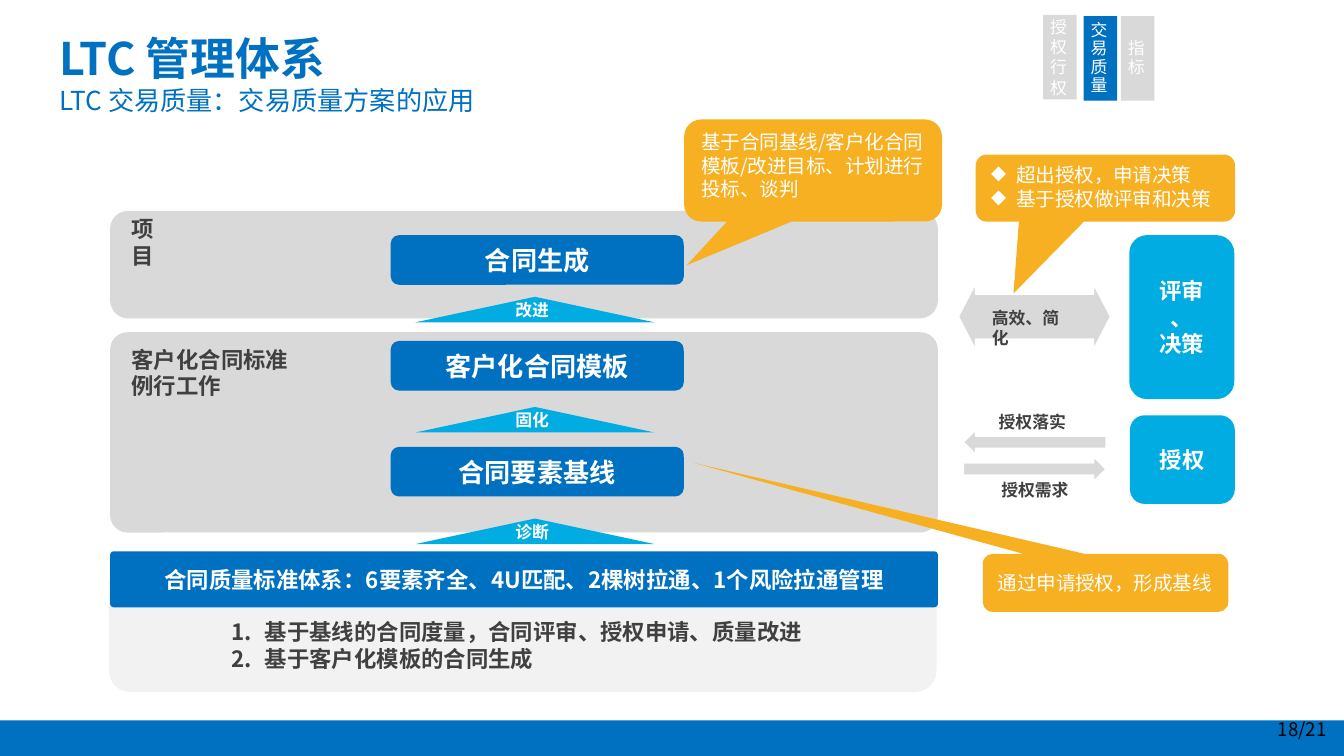
import pptx
import pptx.util
import pptx.dml.color
import pptx.enum.shapes
import pptx.enum.text
import pptx.oxml.ns
import lxml.etree

Pt = pptx.util.Pt
Kind = pptx.enum.shapes.MSO_SHAPE
Align = pptx.enum.text.PP_ALIGN
Anchor = pptx.enum.text.MSO_ANCHOR
qn = pptx.oxml.ns.qn

THEME = {
    "font": "Noto Sans CJK SC",
    "blue": "0070C0", "sky": "00ACE2", "gold": "F7B021",
    "gray": "D9D9D9", "pale": "F2F2F2", "dark": "404040",
    "white": "FFFFFF", "black": "000000",
    "title": 24, "head": 14, "body": 12, "note": 10.5, "page": 10, "small": 9,
}

TITLE = [("LTC 管理体系", "title", True),
         ("LTC 交易质量：交易质量方案的应用", "head", False)]
TABS = [("授权行权", 558.8, 8, "gray", 1.0),
        ("交易质量", 580.5, 8.7, "blue", 0.9),
        ("指标", 600.5, 8.7, "gray", 0.9)]
PANELS = [((59, 178, 443.5, 107.3), 0.087, "gray"),
          ((59, 113, 443.5, 57.6), 0.167, "gray"),
          ((58.3, 301, 443.5, 69.8), 0.167, "pale")]
STEPS = ["合同生成", "客户化合同模板", "合同要素基线"]
LIFTS = [("改进", 157), ("固化", 216), ("诊断", 275.8)]
BASE = "合同质量标准体系：6要素齐全、4U匹配、2棵树拉通、1个风险拉通管理"
HEADS = [(["项目"], (64, 112.3, 36.7, 21)),
         (["客户化合同标准", "例行工作"], (64, 182.2, 97.2, 35.3))]
RULES = ["基于基线的合同度量，合同评审、授权申请、质量改进", "基于客户化模板的合同生成"]
GATES = [(["评审", "、", "决策"], (605, 126, 56.2, 87.8)),
         (["授权"], (605.3, 222.5, 56.2, 47.5))]
ARROWS = [(Kind.LEFT_RIGHT_ARROW, (513.5, 152, 81.4, 35.3), (0.685, 0.259)),
          (Kind.RIGHT_ARROW, (516.2, 244.8, 76.3, 13), ()),
          (Kind.LEFT_ARROW, (516.2, 230.4, 76.3, 13), ())]
TAGS = [("高效、简化", (524.9, 162, 57.6, 17.3)),
        ("授权落实", (528.5, 217.4, 49, 17.3)),
        ("授权需求", (529.9, 254.2, 49, 17.3))]
NOTES = [(["基于合同基线/客户化合同模板/改进目标、计划进行投标、谈判"],
          (366.5, 64, 138.2, 54.7), (-0.49, 0.928, 0.167), Anchor.TOP, None),
         (["超出授权，申请决策", "基于授权做评审和决策"],
          (522.7, 82.8, 139, 36), (-0.354, 1.569, 0.167), Anchor.TOP, "◆"),
         (["通过申请授权，形成基线"],
          (526.5, 296.8, 131.5, 31), (-1.676, -2.072, 0.167), Anchor.MIDDLE, None)]

deck = pptx.Presentation()
deck.slide_width, deck.slide_height = Pt(720), Pt(405)
slide = deck.slides.add_slide(deck.slide_layouts[5])


def tint(name):
    return pptx.dml.color.RGBColor.from_string(THEME[name])


def style(para, size, color, bold):
    for run in para.runs:
        font = run.font
        font.size, font.bold = Pt(THEME[size]), bold
        font.color.rgb = tint(color)
        font.name = THEME["font"]
        east = lxml.etree.SubElement(run._r.get_or_add_rPr(), qn("a:ea"))
        east.set("typeface", THEME["font"])


def mark(para, sign, dent):
    props = para._p.get_or_add_pPr()
    props.set("marL", str(Pt(dent)))
    props.set("indent", str(-Pt(dent)))
    if sign == "1.":
        lxml.etree.SubElement(props, qn("a:buAutoNum")).set("type", "arabicPeriod")
    else:
        lxml.etree.SubElement(props, qn("a:buChar")).set("char", sign)


def write(shape, lines, size, color="white", bold=True, align=Align.LEFT,
          anchor=Anchor.TOP, inset=(6.5, 3, 6.5, 3), wrap=True,
          space=None, sign=None, dent=18):
    frame = shape.text_frame
    frame.text = "\n".join(lines)
    frame.word_wrap, frame.vertical_anchor = wrap, anchor
    (frame.margin_left, frame.margin_top,
     frame.margin_right, frame.margin_bottom) = map(Pt, inset)
    for para in frame.paragraphs:
        if sign:
            mark(para, sign, dent)
        para.alignment = align
        if space:
            para.line_spacing = space
        style(para, size, color, bold)


def draw(kind, box, fill, adj=(), edge=None):
    shape = slide.shapes.add_shape(kind, *map(Pt, box))
    shape.shadow.inherit = False
    shape.fill.solid()
    shape.fill.fore_color.rgb = tint(fill)
    if edge:
        shape.line.color.rgb = tint(edge)
        shape.line.width = Pt(0.75)
    else:
        shape.line.fill.background()
    for i, value in enumerate(adj):
        shape.adjustments[i] = value
    return shape


def label(box, lines, size, **opts):
    write(slide.shapes.add_textbox(*map(Pt, box)), lines, size, **opts)


MID = {"align": Align.CENTER, "anchor": Anchor.MIDDLE}

draw(Kind.RECTANGLE, (-2, 386, 722, 20), "blue")
title = slide.shapes.title
title.left, title.top, title.width, title.height = map(Pt, (29, 14.4, 473, 49.7))
write(title, [line for line, _, _ in TITLE], "title", "blue",
      anchor=Anchor.MIDDLE, inset=(3, 3, 3, 3))
for para, (_, size, bold) in zip(title.text_frame.paragraphs, TITLE):
    para.runs[0].font.size, para.runs[0].font.bold = Pt(THEME[size]), bold
label((677.5, 380, 42.5, 21.6), ["18/21"], "page", color="black", bold=False,
      anchor=Anchor.MIDDLE, inset=(7.2, 3.6, 7.2, 3.6))

for box, bend, fill in PANELS:
    draw(Kind.ROUNDED_RECTANGLE, box, fill, (bend,))
for word, top in LIFTS:
    draw(Kind.ISOSCELES_TRIANGLE, (222.5, top + 2, 128.2, 13.7), "sky")
    label((269, top, 36, 18), [word], "small", inset=(7.2, 3.6, 0, 3.6), wrap=False)
for i, word in enumerate(STEPS):
    step = draw(Kind.ROUNDED_RECTANGLE, (209.3, 126 + 56.7 * i, 157, 26.6), "blue")
    write(step, [word], "head", **MID)
base = draw(Kind.ROUNDED_RECTANGLE, (59, 295.4, 443.5, 30), "blue", (0.066,))
write(base, [BASE], "body", **MID)
for lines, box in HEADS:
    label(box, lines, "body", color="dark", wrap=False)
label((117.4, 328.3, 321, 35.3), RULES, "body", color="dark", sign="1.")

for lines, box in GATES:
    write(draw(Kind.ROUNDED_RECTANGLE, box, "sky"), lines, "body", **MID)
for kind, box, adj in ARROWS:
    draw(kind, box, "gray", adj, "white")
for word, box in TAGS:
    label(box, [word], "small", color="dark", wrap=False)
for lines, box, adj, anchor, sign in NOTES:
    note = draw(Kind.ROUNDED_RECTANGULAR_CALLOUT, box, "gold", adj)
    write(note, lines, "note", bold=False, anchor=anchor, sign=sign, dent=13.5)

for word, left, top, fill, space in TABS:
    tab = draw(Kind.RECTANGLE, (left, top, 18, 45.2), fill)
    write(tab, [word], "small", bold=False, inset=(1.5, 1.5, 3, 1.5), space=space, **MID)

deck.save("out.pptx")
